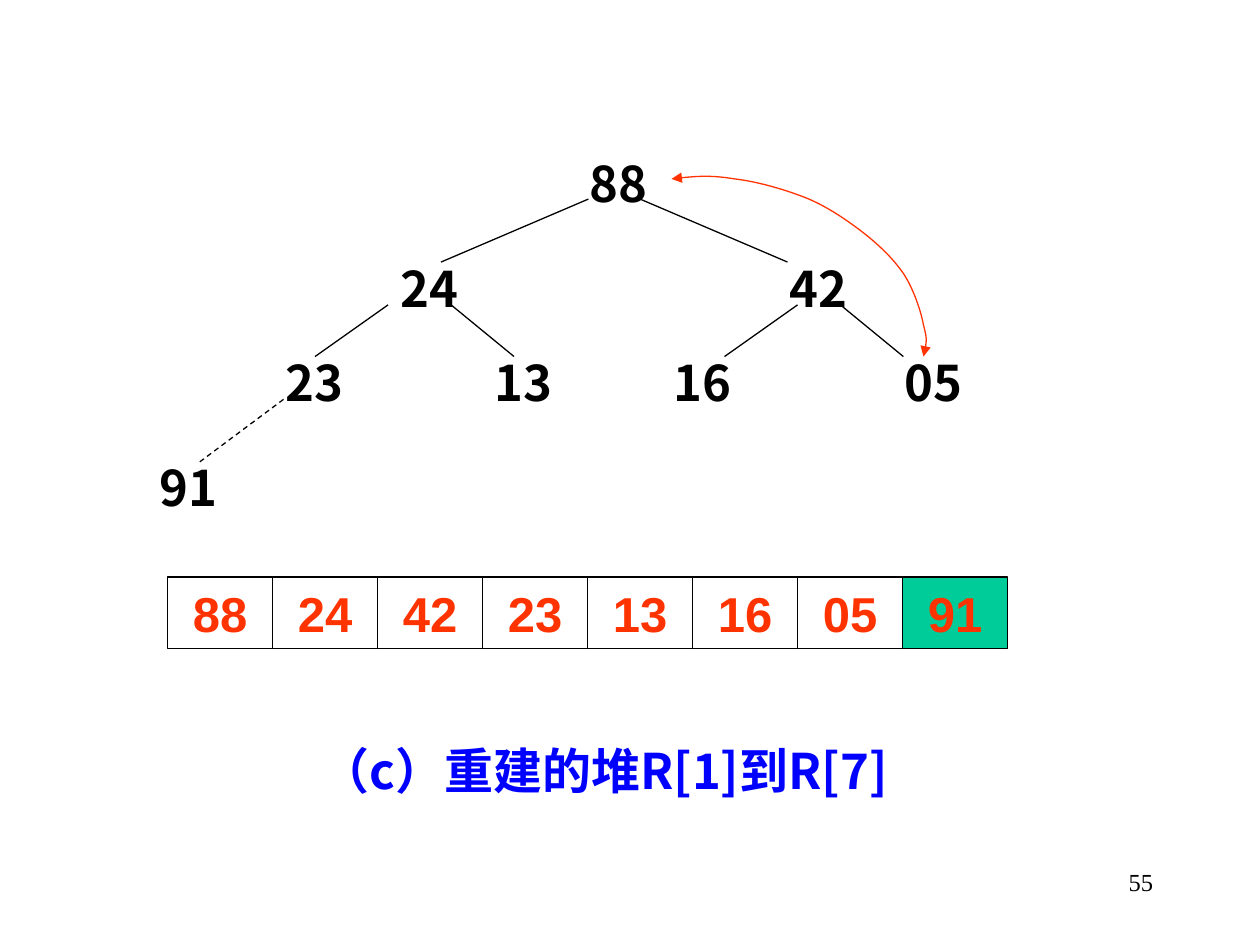
from pptx import Presentation
from pptx.dml.color import RGBColor
from pptx.enum.dml import MSO_LINE
from pptx.enum.shapes import MSO_CONNECTOR, MSO_SHAPE
from pptx.enum.text import MSO_ANCHOR, PP_ALIGN
from pptx.oxml.ns import qn
from pptx.util import Inches, Pt
from lxml import etree

LEFT, CENTER, RIGHT = PP_ALIGN.LEFT, PP_ALIGN.CENTER, PP_ALIGN.RIGHT
DASH, STRAIGHT = MSO_LINE.DASH, MSO_CONNECTOR.STRAIGHT
RECTANGLE, MIDDLE = MSO_SHAPE.RECTANGLE, MSO_ANCHOR.MIDDLE

THEME = {
    "black": RGBColor(0, 0, 0),
    "blue": RGBColor(0, 0, 255),
    "red": RGBColor(255, 51, 0),
    "green": RGBColor(0, 204, 153),
    "heap_font": "Noto Sans CJK SC",
    "array_font": "Arial",
    "page_font": "Times New Roman",
    "text_size": 28,
    "page_size": 14,
    "line_width": 0.75,
}

CAPTION = "（c）重建的堆R[1]到R[7]"
PAGE_NUMBER = "55"
HEAP = ["88", "24", "42", "23", "13", "16", "05", "91"]
HEAP_SIZE = 7  # entries after this one are already sorted
NODE_LEFTS = [4.58, 3.08, 6.17, 2.17, 3.83, 5.25, 7.08, 1.17]
LEVEL_TOPS = [1.17, 2, 2.75, 3.58]
NODE_WIDTH, ROW_HEIGHT = 0.67, 0.57
# One edge for each node below the root: from parent, to child
EDGES = [
    ((4.67, 1.58), (3.5, 2.08)),
    ((5.08, 1.58), (6.25, 2.08)),
    ((3.08, 2.42), (2.5, 2.83)),
    ((3.58, 2.42), (4.08, 2.83)),
    ((6.33, 2.42), (5.75, 2.83)),
    ((6.67, 2.42), (7.17, 2.83)),
    ((2.25, 3.17), (1.58, 3.67)),
]
ARRAY_LEFT, ARRAY_TOP, CELL_WIDTH = 1.33, 4.58, 5 / 6
# Start point, then two control points and an end point for each curve
SWAP_ARROW = [
    (7.33, 2.83),
    (7.35, 2.76), (7.36, 2.69), (7.33, 2.58),
    (7.31, 2.47), (7.25, 2.29), (7.17, 2.17),
    (7.08, 2.04), (6.96, 1.93), (6.83, 1.83),
    (6.71, 1.74), (6.58, 1.65), (6.42, 1.58),
    (6.25, 1.51), (6.01, 1.44), (5.83, 1.42),
    (5.65, 1.39), (5.49, 1.4), (5.33, 1.42),
]


def write(shape, text, font, color, size=THEME["text_size"], bold=True, align=LEFT):
    shape.text_frame.word_wrap = True
    paragraph = shape.text_frame.paragraphs[0]
    paragraph.alignment = align
    run = paragraph.add_run()
    run.text = text
    run.font.name = font
    run.font.size = Pt(size)
    run.font.bold = bold
    run.font.color.rgb = color
    east_asian = etree.SubElement(run.font._element, qn("a:ea"))
    east_asian.set("typeface", font)
    return paragraph


def add_text(slide, box, text, font, color, **style):
    shape = slide.shapes.add_textbox(*map(Inches, box))
    return write(shape, text, font, color, **style)


def style_line(line, color):
    line.color.rgb = color
    line.width = Pt(THEME["line_width"])


def add_tree(slide):
    for index, (value, left) in enumerate(zip(HEAP, NODE_LEFTS)):
        level = (index + 1).bit_length() - 1
        box = (left, LEVEL_TOPS[level], NODE_WIDTH, ROW_HEIGHT)
        add_text(slide, box, value, THEME["heap_font"], THEME["black"])
    for child, (start, end) in enumerate(EDGES, start=1):
        edge = slide.shapes.add_connector(STRAIGHT, *map(Inches, start + end))
        style_line(edge.line, THEME["black"])
        if child >= HEAP_SIZE:
            edge.line.dash_style = DASH
        etree.SubElement(edge._element.spPr, qn("a:effectLst"))


def add_array(slide):
    for index, value in enumerate(HEAP):
        box = (ARRAY_LEFT + index * CELL_WIDTH, ARRAY_TOP, CELL_WIDTH, ROW_HEIGHT)
        cell = slide.shapes.add_shape(RECTANGLE, *map(Inches, box))
        cell.shadow.inherit = False
        if index < HEAP_SIZE:
            cell.fill.background()
        else:
            cell.fill.solid()
            cell.fill.fore_color.rgb = THEME["green"]
        style_line(cell.line, THEME["black"])
        cell.text_frame.vertical_anchor = MIDDLE
        write(cell, value, THEME["array_font"], THEME["red"], align=CENTER)


def add_swap_arrow(slide):
    start, *points = [(Inches(x), Inches(y)) for x, y in SWAP_ARROW]
    builder = slide.shapes.build_freeform(*start)
    builder.add_line_segments(points, close=False)
    arrow = builder.convert_to_shape()
    arrow.shadow.inherit = False
    arrow.fill.background()
    style_line(arrow.line, THEME["red"])
    bend_segments(arrow)
    outline = arrow._element.spPr.find(qn("a:ln"))
    for end in ("a:headEnd", "a:tailEnd"):
        etree.SubElement(outline, qn(end)).set("type", "triangle")


def bend_segments(shape):
    """Turn every three straight segments into one cubic Bezier curve."""
    segments = list(shape._element.iter(qn("a:lnTo")))
    outline = segments[0].getparent()
    for first in range(0, len(segments), 3):
        curve = etree.SubElement(outline, qn("a:cubicBezTo"))
        for segment in segments[first:first + 3]:
            curve.append(segment[0])
            outline.remove(segment)


def main():
    presentation = Presentation()
    presentation.slide_width, presentation.slide_height = Inches(10), Inches(7.5)
    slide = presentation.slides.add_slide(presentation.slide_layouts[6])
    caption = add_text(slide, (1.92, 5.83, 5.75, ROW_HEIGHT), CAPTION,
                       THEME["heap_font"], THEME["blue"], align=CENTER)
    caption.space_before = Pt(17.5)
    add_tree(slide)
    add_array(slide)
    add_swap_arrow(slide)
    add_text(slide, (7.17, 6.83, 2.08, 0.5), PAGE_NUMBER, THEME["page_font"],
             THEME["black"], size=THEME["page_size"], bold=False, align=RIGHT)
    presentation.save("out.pptx")


if __name__ == "__main__":
    main()
